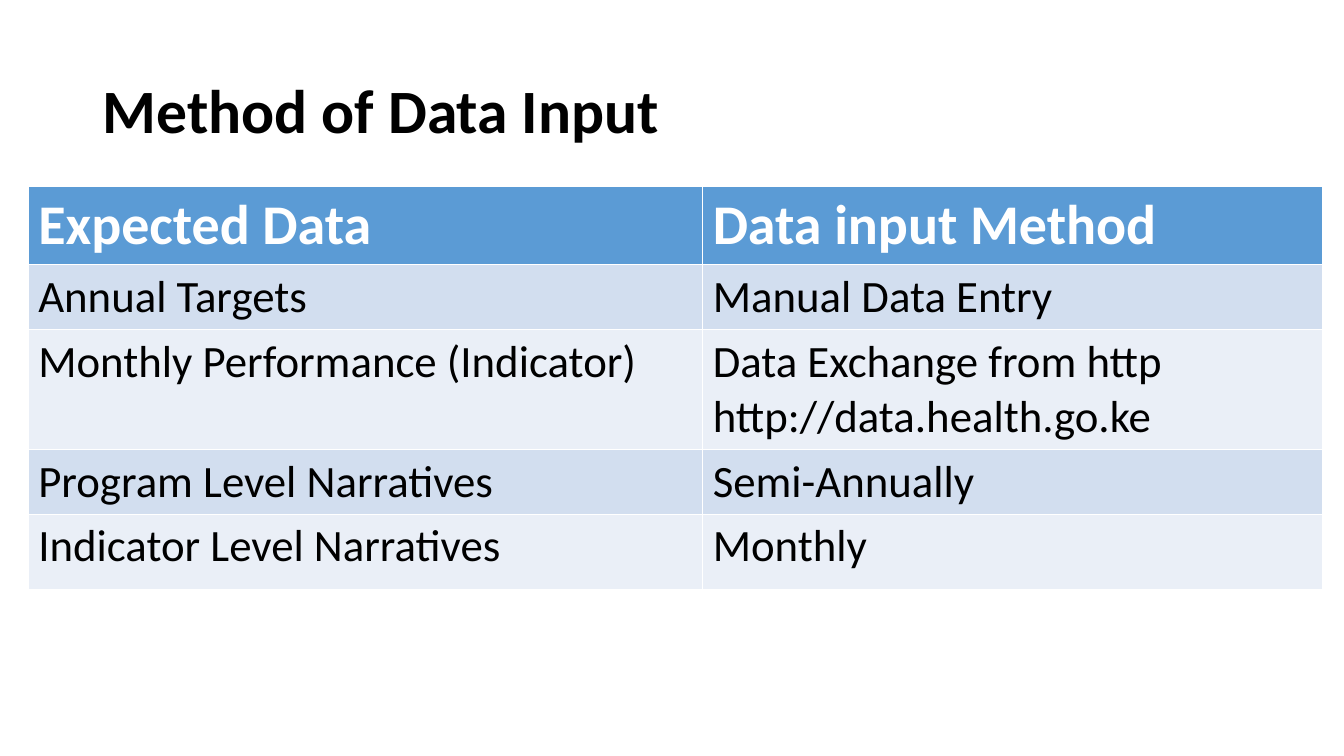
from pptx import Presentation
from pptx.dml.color import RGBColor
from pptx.enum import text
from pptx.util import Inches, Pt

BLACK = RGBColor(0x00, 0x00, 0x00)
WHITE = RGBColor(0xFF, 0xFF, 0xFF)
HEADER_BLUE = RGBColor(0x5B, 0x9B, 0xD5)
BANDS = (RGBColor(0xD2, 0xDE, 0xEF), RGBColor(0xEA, 0xEF, 0xF7))

TITLE_FONT = {"name": "Calibri", "size": Pt(44), "bold": True}
HEADER_FONT = {"name": "Calibri", "size": Pt(40), "bold": True}
BODY_FONT = {"name": "Calibri", "size": Pt(32), "bold": False}

INPUT_METHODS = [
    ("Expected Data", "Data input Method"),
    ("Annual Targets", "Manual Data Entry"),
    ("Monthly Performance (Indicator)",
     "Data Exchange from http\nhttp://data.health.go.ke"),
    ("Program Level Narratives", "Semi-Annually"),
    ("Indicator Level Narratives", "Monthly"),
]
COLUMN_SHARES = (0.521, 0.479)
ROW_HEIGHTS = (0.77, 0.64, 1.18, 0.64, 0.75)


def format_text(frame, font_values, color):
    for paragraph in frame.paragraphs:
        for run in paragraph.runs:
            for attribute, value in font_values.items():
                setattr(run.font, attribute, value)
            run.font.color.rgb = color


def place_title(slide, left, top, width, height):
    title = slide.shapes.title
    box = {"left": left, "top": top, "width": width, "height": height}
    for attribute, value in box.items():
        setattr(title, attribute, Inches(value))
    frame = title.text_frame
    frame.text = "Method of Data Input"
    frame.vertical_anchor = text.MSO_ANCHOR.MIDDLE
    frame.paragraphs[0].alignment = text.PP_ALIGN.LEFT
    frame.paragraphs[0].line_spacing = 0.9
    format_text(frame, TITLE_FONT, BLACK)


def place_methods(slide, left, top, width):
    methods = slide.shapes.add_table(
        len(INPUT_METHODS), len(COLUMN_SHARES), Inches(left), Inches(top),
        Inches(width), Inches(sum(ROW_HEIGHTS))).table
    for column, share in zip(methods.columns, COLUMN_SHARES):
        column.width = Inches(width * share)

    # Header row, then alternating bands
    for index, (row, entries) in enumerate(zip(methods.rows, INPUT_METHODS)):
        row.height = Inches(ROW_HEIGHTS[index])
        is_header = index == 0
        for cell, entry in zip(row.cells, entries):
            cell.text = entry
            cell.fill.solid()
            cell.fill.fore_color.rgb = HEADER_BLUE if is_header else BANDS[(index - 1) % 2]
            format_text(cell.text_frame, HEADER_FONT if is_header else BODY_FONT,
                        WHITE if is_header else BLACK)


def main():
    deck = Presentation()
    deck.slide_width, deck.slide_height = Inches(13.33), Inches(7.5)
    slide = deck.slides.add_slide(deck.slide_layouts[5])
    place_title(slide, 0.92, 0.4, 11.5, 1.45)
    place_methods(slide, 0.28, 1.85, 12.84)
    deck.save("out.pptx")


if __name__ == "__main__":
    main()
